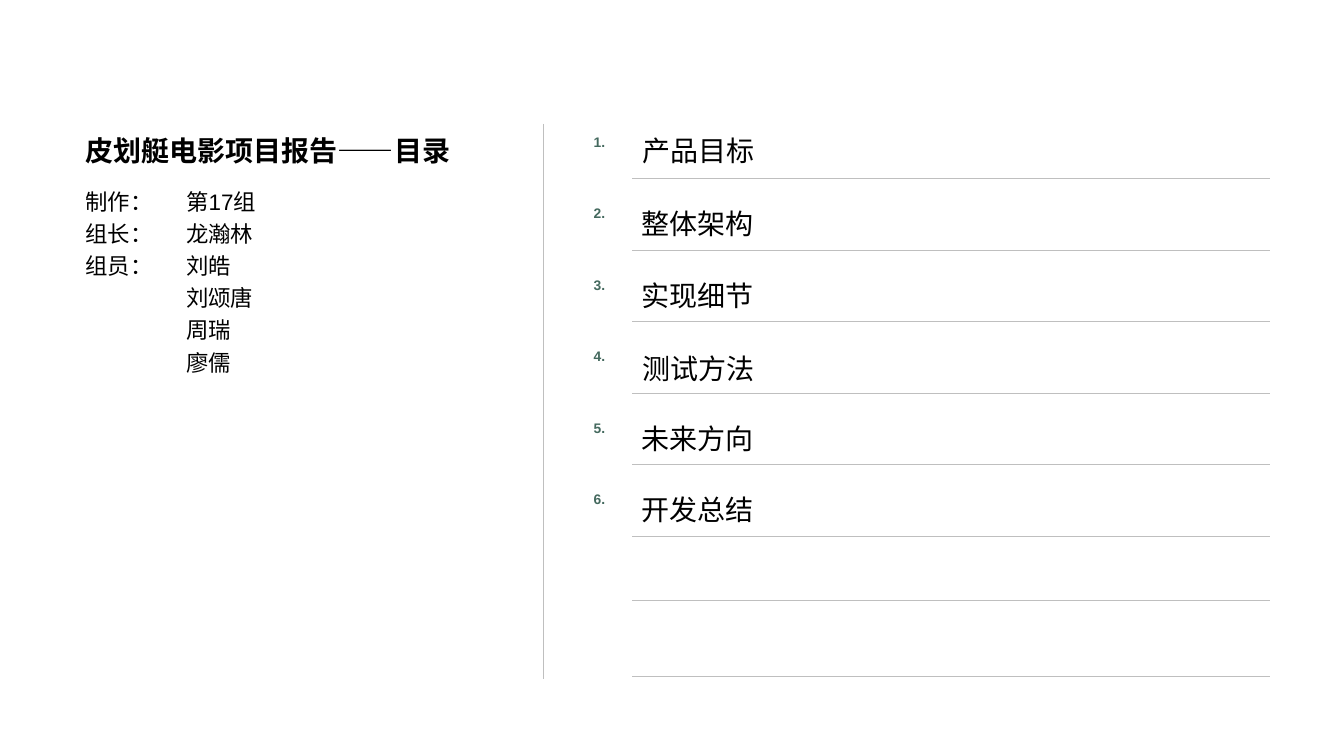
from lxml import etree
from pptx import Presentation
from pptx.dml.color import RGBColor
from pptx.enum.shapes import MSO_CONNECTOR as CONN, MSO_SHAPE as SHAPE
from pptx.enum.text import MSO_ANCHOR as ANCHOR, PP_ALIGN as ALIGN
from pptx.oxml.ns import qn
from pptx.util import Inches, Pt

FONT = "Arial"
BLACK, GREEN, GRAY = "000000", "44695E", "BFBFBF"
ROW_STEP = 0.71
RULE_LEFT, RULE_RIGHT = 6.27, 12.6
CHAPTERS = [
    ("产品目标", 6.27, 1.18),
    ("整体架构", 6.26, 1.9),
    ("实现细节", 6.26, 2.61),
    ("测试方法", 6.27, 3.34),
    ("未来方向", 6.26, 4.03),
    ("开发总结", 6.26, 4.74),
]
TEAM = [
    "制作：\t第17组",
    "组长：\t龙瀚林",
    "组员：\t刘皓",
    "\t刘颂唐",
    "\t周瑞",
    "\t廖儒",
]


def rgb(value):
    return RGBColor.from_string(value)


def set_text(s, text, size, color=BLACK, bold=False, spacing=None,
             align=ALIGN.LEFT, anchor=ANCHOR.TOP, wrap=True):
    tf = s.text_frame
    tf.text = text
    tf.word_wrap = wrap
    tf.vertical_anchor = anchor
    for p in tf.paragraphs:
        p.alignment = align
        p.line_spacing = spacing
        for r in p.runs:
            r.font.name = FONT
            r.font.size = Pt(size)
            r.font.bold = bold
            r.font.color.rgb = rgb(color)


def add_text(slide, x, y, w, h, text, size, **style):
    s = slide.shapes.add_textbox(Inches(x), Inches(y), Inches(w), Inches(h))
    set_text(s, text, size, **style)
    return s


def add_team(slide):
    s = add_text(slide, 0.75, 1.76, 4.34, 3.64, "\n".join(TEAM), 16, spacing=1.2)
    for p in s.text_frame.paragraphs:
        tabs = etree.SubElement(p._p.get_or_add_pPr(), qn("a:tabLst"))
        etree.SubElement(tabs, qn("a:tab"), pos=str(Inches(1)), algn="l")


def add_number(slide, y, number):
    s = add_text(slide, 5.82, y, 0.25, 0.25, f"{number}.", 9.9, color=GREEN,
                 bold=True, align=ALIGN.CENTER, anchor=ANCHOR.MIDDLE, wrap=False)
    s.text_frame.margin_left = s.text_frame.margin_right = 0


def add_chapter(slide, x, y, text):
    s = slide.shapes.add_shape(SHAPE.SNIP_2_SAME_RECTANGLE, Inches(x), Inches(y),
                               Inches(6.33), Inches(0.45))
    s.adjustments[0] = 0
    s.adjustments[1] = 0
    s.shadow.inherit = False
    s.fill.background()
    s.line.fill.background()
    set_text(s, text, 20, spacing=1.3)


def add_line(slide, x1, y1, x2, y2):
    s = slide.shapes.add_connector(CONN.STRAIGHT, Inches(x1), Inches(y1),
                                   Inches(x2), Inches(y2))
    s.line.color.rgb = rgb(GRAY)
    s.line.width = Pt(0.25)
    etree.SubElement(s._element.spPr, qn("a:effectLst"))


def add_rule(slide, y):
    add_line(slide, RULE_LEFT, y, RULE_RIGHT, y)


def main():
    prs = Presentation()
    prs.slide_width = Inches(13.33)
    prs.slide_height = Inches(7.5)
    slide = prs.slides.add_slide(prs.slide_layouts[6])

    add_team(slide)
    add_text(slide, 0.75, 1.28, 4.34, 0.48, "皮划艇电影项目报告——目录", 20,
             bold=True, wrap=False)
    add_line(slide, 5.39, 1.23, 5.39, 6.74)

    for i, (title, x, y) in enumerate(CHAPTERS):
        add_number(slide, 1.28 + i * ROW_STEP, i + 1)
        add_chapter(slide, x, y, title)
        add_rule(slide, 1.77 + i * ROW_STEP)
    for y in (5.95, 6.71):
        add_rule(slide, y)

    prs.save("out.pptx")


if __name__ == "__main__":
    main()
